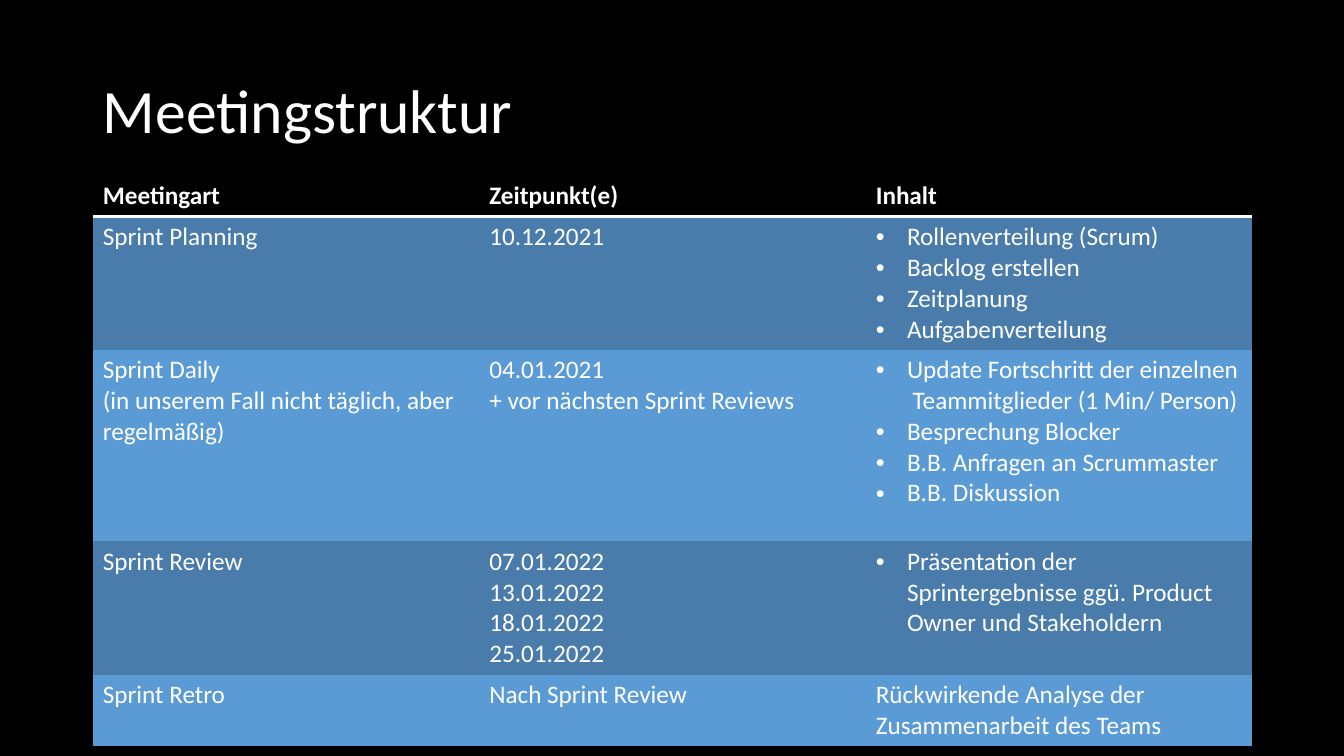
"""Build the slide on the meeting structure of a Scrum project."""
from lxml.etree import SubElement
from pptx import Presentation
from pptx.dml.color import RGBColor
from pptx.enum.text import MSO_ANCHOR, PP_ALIGN
from pptx.oxml.ns import qn
from pptx.util import Inches, Pt

BLACK = RGBColor(0x00, 0x00, 0x00)
WHITE = RGBColor(0xFF, 0xFF, 0xFF)
DARK_BLUE = RGBColor(0x49, 0x7C, 0xAB)
LIGHT_BLUE = RGBColor(0x5B, 0x9B, 0xD5)
NO_STYLE = "{2D5ABB26-0587-4C30-8999-92F81FD0307C}"
BULLET = "• "
LEFT, WIDTH = Inches(0.92), Inches(11.5)

MEETINGS = [
    (0.41, ["Meetingart"], ["Zeitpunkt(e)"], ["Inhalt"]),
    (1.3, ["Sprint Planning"], ["10.12.2021"],
     ["• Rollenverteilung (Scrum)", "• Backlog erstellen",
      "• Zeitplanung", "• Aufgabenverteilung"]),
    (1.9, ["Sprint Daily \v(in unserem Fall nicht täglich, aber regelmäßig)"],
     ["04.01.2021", "+ vor nächsten Sprint Reviews"],
     ["• Update Fortschritt der einzelnen  Teammitglieder (1 Min/ Person)",
      "• Besprechung Blocker", "• B.B. Anfragen an Scrummaster",
      "• B.B. Diskussion"]),
    (1.3, ["Sprint Review"],
     ["07.01.2022", "13.01.2022", "18.01.2022", "25.01.2022"],
     ["• Präsentation der Sprintergebnisse ggü. Product Owner und Stakeholdern"]),
    (0.7, ["Sprint Retro"], ["Nach Sprint Review"],
     ["Rückwirkende Analyse der Zusammenarbeit des Teams"]),
]


def write(paragraph, text, size, bold=False):
    paragraph.text = text
    font_format = {"name": "Calibri", "size": Pt(size), "bold": bold}
    for run in paragraph.runs:
        for attribute, value in font_format.items():
            setattr(run.font, attribute, value)
        run.font.color.rgb = WHITE


presentation = Presentation()
presentation.slide_width = Inches(13.33)
presentation.slide_height = Inches(7.5)
slide = presentation.slides.add_slide(presentation.slide_layouts[5])
slide.background.fill.solid()
slide.background.fill.fore_color.rgb = BLACK

heading = slide.shapes.title
heading_place = {"left": LEFT, "top": Inches(0.4),
                 "width": WIDTH, "height": Inches(1.45)}
for attribute, value in heading_place.items():
    setattr(heading, attribute, value)
heading.text_frame.vertical_anchor = MSO_ANCHOR.MIDDLE
heading_line = heading.text_frame.paragraphs[0]
write(heading_line, "Meetingstruktur", 44)
heading_line.alignment = PP_ALIGN.LEFT
heading_line.line_spacing = 0.9

schedule = slide.shapes.add_table(
    len(MEETINGS), 3, LEFT, Inches(1.74), WIDTH, Inches(5.61)).table
schedule.first_row = False
schedule.horz_banding = False
schedule._tbl.tblPr.find(qn("a:tableStyleId")).text = NO_STYLE

for row, (height, *entries) in enumerate(MEETINGS):
    is_header = row == 0
    schedule.rows[row].height = Inches(height)
    for column, lines in enumerate(entries):
        cell = schedule.cell(row, column)
        for index, line in enumerate(lines):
            frame = cell.text_frame
            paragraph = frame.add_paragraph() if index else frame.paragraphs[0]
            write(paragraph, line.removeprefix(BULLET), 18, is_header)
            if line.startswith(BULLET):
                properties = paragraph._p.get_or_add_pPr()
                properties.set("marL", str(Inches(0.31)))
                properties.set("indent", str(-Inches(0.31)))
                SubElement(properties, qn("a:buFont"), typeface="Arial")
                SubElement(properties, qn("a:buChar"), char="•")
        if is_header:
            border = SubElement(cell._tc.get_or_add_tcPr(), qn("a:lnB"), w=str(Pt(2)))
            border_fill = SubElement(border, qn("a:solidFill"))
            SubElement(border_fill, qn("a:srgbClr"), val=str(WHITE))
        cell.fill.solid()
        cell.fill.fore_color.rgb = (
            BLACK if is_header else DARK_BLUE if row % 2 else LIGHT_BLUE)

presentation.save("out.pptx")
